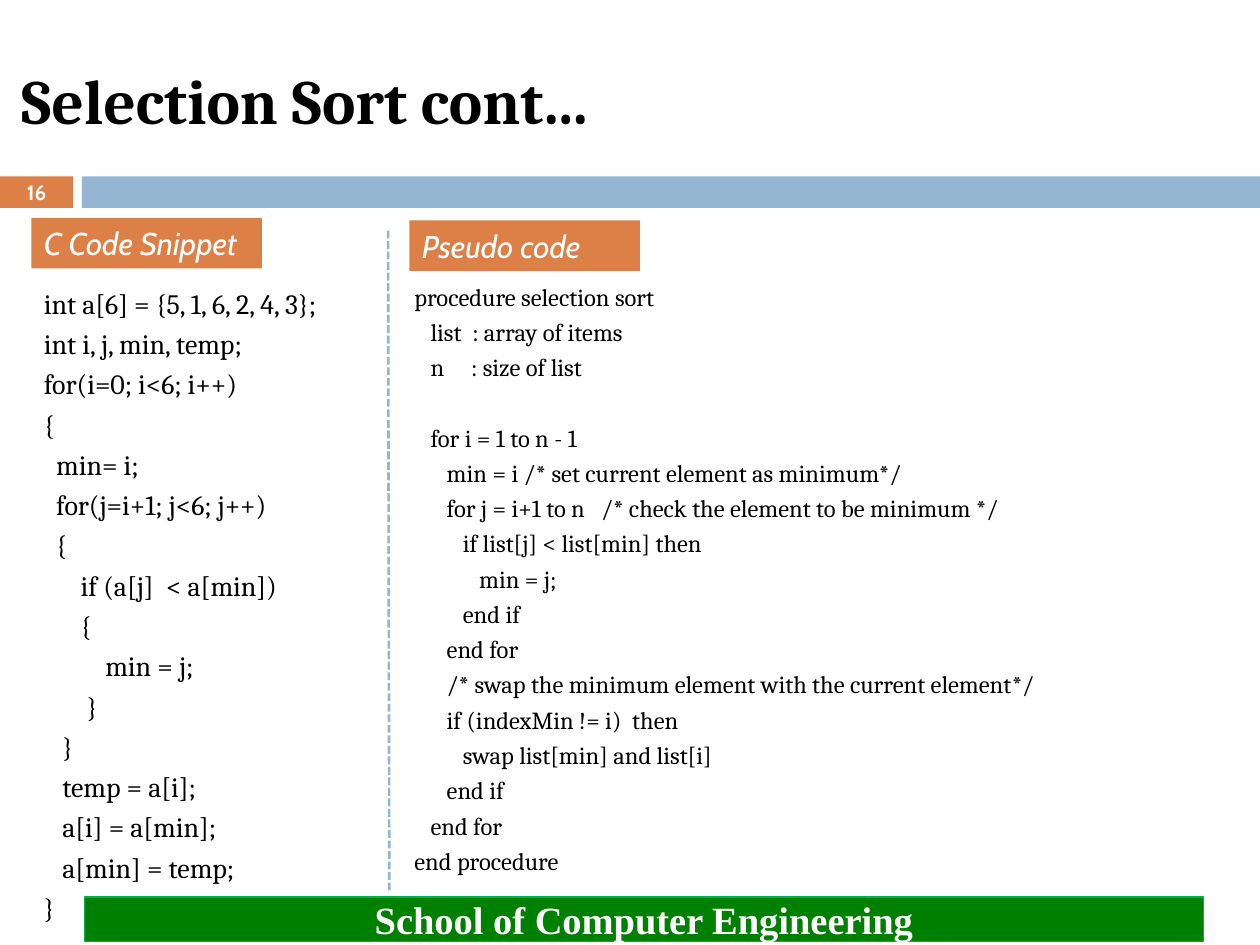
import pptx
import pptx.util
import pptx.dml.color
import pptx.enum.dml
import pptx.enum.shapes
import pptx.enum.text
from lxml import etree

Inches, Pt = pptx.util.Inches, pptx.util.Pt
RGBColor = pptx.dml.color.RGBColor
ALIGN = pptx.enum.text.PP_ALIGN
ANCHOR = pptx.enum.text.MSO_ANCHOR

BLACK = RGBColor(0x00, 0x00, 0x00)
WHITE = RGBColor(0xFF, 0xFF, 0xFF)
ORANGE = RGBColor(0xDD, 0x80, 0x47)
BLUE = RGBColor(0x94, 0xB6, 0xD2)
GREEN = RGBColor(0x00, 0x80, 0x00)
EDGE_GREEN = RGBColor(0x00, 0xB0, 0x50)

C_CODE = """\
int a[6] = {5, 1, 6, 2, 4, 3};
int i, j, min, temp;
for(i=0; i<6; i++)
{
  min= i;
  for(j=i+1; j<6; j++)
  {
      if (a[j]  < a[min])
      {
          min = j;
       }
   }
   temp = a[i];
   a[i] = a[min];
   a[min] = temp;
}"""

# The declarations and the body are parted by one line of space
PSEUDO_CODE = """\
procedure selection sort
   list  : array of items
   n     : size of list

   for i = 1 to n - 1
      min = i /* set current element as minimum*/
      for j = i+1 to n   /* check the element to be minimum */
         if list[j] < list[min] then
            min = j;
         end if
      end for
      /* swap the minimum element with the current element*/
      if (indexMin != i)  then
         swap list[min] and list[i]
      end if
   end for
end procedure"""


def write_text(tf, text, size, font="Cambria", color=BLACK, bold=False,
               italic=False, align=ALIGN.LEFT, anchor=ANCHOR.TOP,
               spacing=None):
    """Fill a text frame line by line; an empty line becomes space before."""
    tf.word_wrap = True
    tf.auto_size = pptx.enum.text.MSO_AUTO_SIZE.NONE
    tf.vertical_anchor = anchor
    p, gap = tf.paragraphs[0], False
    for i, line in enumerate(text.split("\n")):
        if not line:
            gap = True
            continue
        if i:
            p = tf.add_paragraph()
        p.alignment = align
        if spacing:
            p.line_spacing = spacing
        if gap:
            p.space_before = Pt(round(size * 1.44))
            gap = False
        r = p.add_run()
        r.text = line
        r.font.name, r.font.size = font, Pt(size)
        r.font.bold, r.font.italic = bold, italic
        r.font.color.rgb = color


class SlideBuilder:
    def __init__(self, prs):
        self.s = prs.slides.add_slide(prs.slide_layouts[5])

    def title(self, box, text):
        sp = self.s.shapes.title
        sp.left, sp.top, sp.width, sp.height = map(Inches, box)
        write_text(sp.text_frame, text, 36, bold=True, anchor=ANCHOR.MIDDLE)

    def bar(self, box, fill, line=None):
        sp = self.s.shapes.add_shape(
            pptx.enum.shapes.MSO_SHAPE.RECTANGLE, *map(Inches, box))
        sp.shadow.inherit = False
        sp.fill.solid()
        sp.fill.fore_color.rgb = fill
        if line:
            sp.line.color.rgb = line
            sp.line.width = Pt(0.75)
        else:
            sp.line.fill.background()
        return sp

    def heading(self, left, top, text):
        sp = self.bar((left, top, 1.83, 0.4), ORANGE)
        write_text(sp.text_frame, text, 18, font="Cabin", color=WHITE,
                   italic=True)

    def text(self, box, text, size, **fmt):
        sp = self.s.shapes.add_textbox(*map(Inches, box))
        write_text(sp.text_frame, text, size, **fmt)

    def code(self, box, text, size):
        self.text(box, text, size, align=ALIGN.JUSTIFY, spacing=1.2)

    def divider(self, *ends):
        cn = self.s.shapes.add_connector(
            pptx.enum.shapes.MSO_CONNECTOR.STRAIGHT, *map(Inches, ends))
        cn.line.color.rgb = BLUE
        cn.line.width = Pt(1.5)
        cn.line.dash_style = pptx.enum.dml.MSO_LINE.SQUARE_DOT
        etree.SubElement(cn._element.spPr, pptx.oxml.ns.qn("a:effectLst"))


def main():
    prs = pptx.Presentation()
    prs.slide_width, prs.slide_height = Inches(10), Inches(7.5)
    slide = SlideBuilder(prs)

    # Title and the band with the page number
    slide.title((0.07, 0.25, 8.92, 1.08), "Selection Sort cont...")
    slide.bar((0, 1.4, 0.58, 0.25), ORANGE)
    slide.bar((0.65, 1.4, 9.35, 0.25), BLUE)
    slide.text((0, 1.39, 0.58, 0.27), "16", 11.9, font="Cabin", color=WHITE,
               bold=True, align=ALIGN.CENTER, anchor=ANCHOR.MIDDLE)

    # Footer
    footer = slide.bar((0.67, 7.12, 8.88, 0.35), GREEN, EDGE_GREEN)
    write_text(footer.text_frame, "School of Computer Engineering", 22,
               font="Times New Roman", color=WHITE, bold=True,
               align=ALIGN.CENTER, anchor=ANCHOR.MIDDLE)

    # C code on the left
    slide.heading(0.25, 1.73, "C Code Snippet")
    slide.code((0.25, 2.17, 3, 5.42), C_CODE, 16)

    # Pseudo code on the right
    slide.divider(3.08, 1.83, 3.09, 7.08)
    slide.heading(3.25, 1.75, "Pseudo code")
    slide.code((3.19, 2.14, 6.42, 4.91), PSEUDO_CODE, 14)

    prs.save("out.pptx")


if __name__ == "__main__":
    main()
